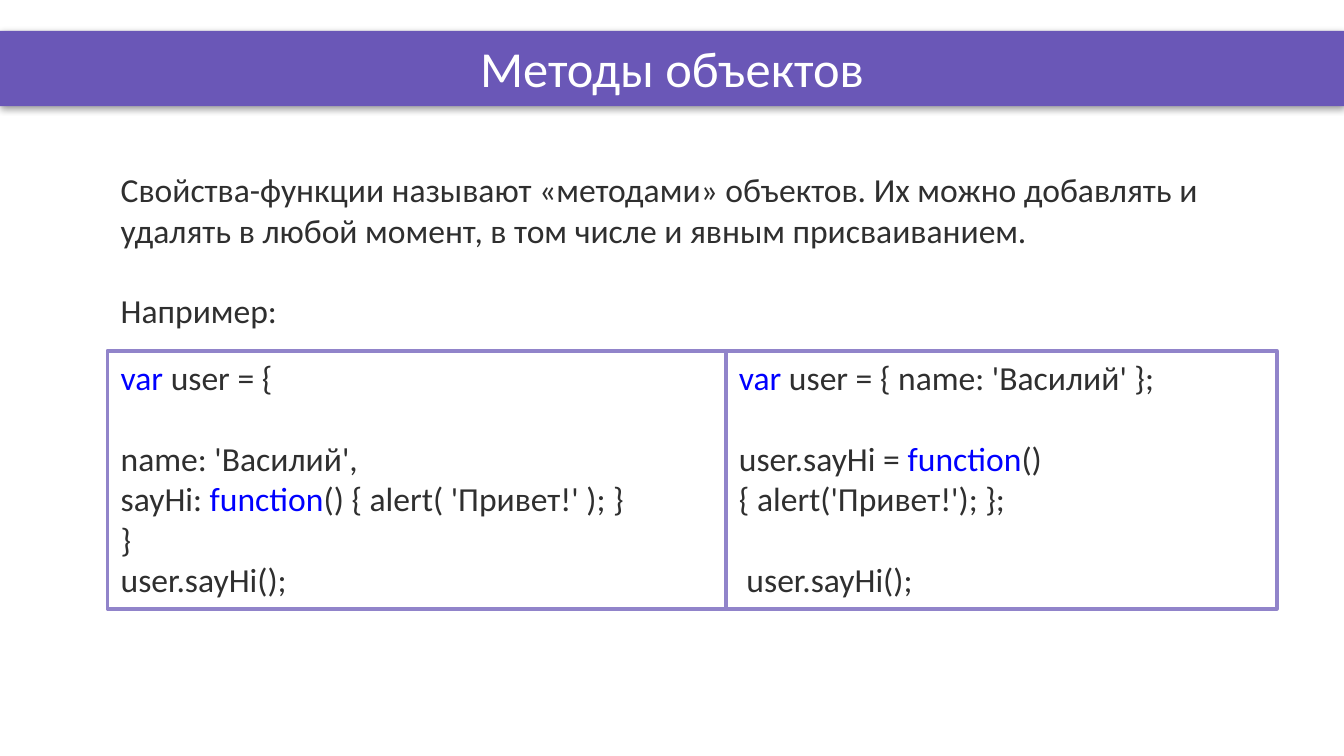
"""Build a slide on object methods with two code examples side by side."""
from lxml import etree
from pptx import Presentation, util as u
from pptx.dml.color import RGBColor
from pptx.enum import shapes, text
from pptx.oxml.ns import qn

TITLE = "Методы объектов"
INTRO = [
    (0, [("Свойства-функции называют «методами» объектов. Их можно добавлять и "
          "удалять в любой момент, в том числе и явным присваиванием.", "body")]),
    (1, [("Например:", "body")]),
]
LITERAL_CODE = [
    (0, [("var ", "keyword"), ("user = {", "body")]),
    (1, [("name: 'Василий',", "body")]),
    (0, [("sayHi: ", "body"), ("function", "keyword"),
         ("() { alert( 'Привет!' ); }", "body")]),
    (0, [("}", "body")]),
    (0, [("user.sayHi();", "body")]),
]
ASSIGNED_CODE = [
    (0, [("var", "keyword"), (" user = { name: 'Василий' };", "body")]),
    (1, [("user.sayHi = ", "body"), ("function", "keyword"),
         ("() { alert('Привет!'); };", "body")]),
    (1, [(" user.sayHi();", "body")]),
]
THEME = {
    "font": "Calibri", "title_size": 27, "body_size": 18, "line_height": 21.6,
    "bar": "6A57B7", "border": "9184CA", "white": "FFFFFF",
    "body": "2F2F2F", "keyword": "0000FF", "shadow": "000000",
}
WIDTH = 10
HEIGHT = WIDTH * 9 / 16
LEFT, BAR_TOP = 0.8, 0.23
CODE_TOP, CODE_HEIGHT = 2.61, 1.92
CODE_BOXES = [(4.6, LITERAL_CODE), (4.1, ASSIGNED_CODE)]


def color(name):
    return RGBColor.from_string(THEME[name])


def inches(*lengths):
    return [u.Inches(length) for length in lengths]


def add_run(paragraph, words, color_name, size):
    run = paragraph.add_run()
    run.text = words
    run.font.name = THEME["font"]
    run.font.size = u.Pt(THEME[size])
    run.font.color.rgb = color(color_name)


def write(frame, lines):
    frame.word_wrap = True
    frame.vertical_anchor = text.MSO_ANCHOR.TOP
    for index, (gap_lines, runs) in enumerate(lines):
        paragraph = frame.add_paragraph() if index else frame.paragraphs[0]
        paragraph.alignment = text.PP_ALIGN.LEFT
        paragraph.space_before = u.Pt(gap_lines * THEME["line_height"])
        for words, color_name in runs:
            add_run(paragraph, words, color_name, "body_size")


def add_rectangle(slide, left, top, width, height, fill):
    shape = slide.shapes.add_shape(
        shapes.MSO_SHAPE.RECTANGLE, *inches(left, top, width, height))
    shape.shadow.inherit = False
    shape.fill.solid()
    shape.fill.fore_color.rgb = color(fill)
    return shape


def add_shadow(shape):
    effects = shape._element.spPr.find(qn("a:effectLst"))
    shadow = etree.SubElement(
        effects, qn("a:outerShdw"), blurRad=str(u.Pt(4)), dist=str(u.Pt(1)),
        dir="5400000", algn="t", rotWithShape="0")
    shade = etree.SubElement(shadow, qn("a:srgbClr"), val=THEME["shadow"])
    etree.SubElement(shade, qn("a:alpha"), val="40000")


def add_title(slide):
    bar = add_rectangle(slide, 0, BAR_TOP, WIDTH, 0.56, "bar")
    bar.line.fill.background()
    add_shadow(bar)
    title = slide.shapes.title
    bar._element.addnext(title._element)
    title.left, title.top, title.width, title.height = inches(
        0.5, BAR_TOP, WIDTH - 1, 0.54)
    title.text_frame.vertical_anchor = text.MSO_ANCHOR.MIDDLE
    paragraph = title.text_frame.paragraphs[0]
    paragraph.alignment = text.PP_ALIGN.CENTER
    add_run(paragraph, TITLE, "white", "title_size")


def add_code_boxes(slide):
    left = LEFT
    for width, lines in CODE_BOXES:
        box = add_rectangle(slide, left, CODE_TOP, width, CODE_HEIGHT, "white")
        box.line.color.rgb = color("border")
        box.line.width = u.Pt(2)
        write(box.text_frame, lines)
        left += width


def main():
    presentation = Presentation()
    presentation.slide_width, presentation.slide_height = inches(WIDTH, HEIGHT)
    slide = presentation.slides.add_slide(presentation.slide_layouts[5])
    add_title(slide)
    intro = slide.shapes.add_textbox(*inches(LEFT, 1.21, 8.4, 2.22))
    write(intro.text_frame, INTRO)
    add_code_boxes(slide)
    presentation.save("out.pptx")


if __name__ == "__main__":
    main()
